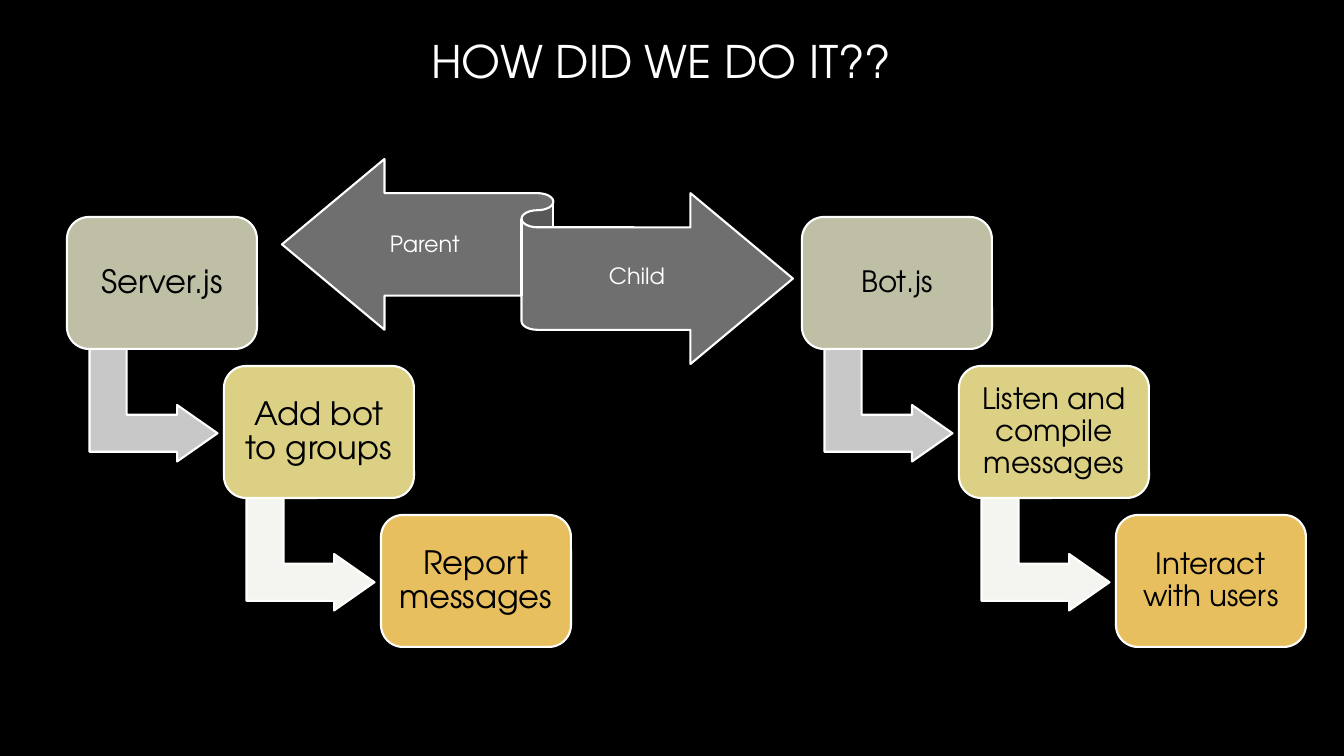
from pptx import Presentation
from pptx.dml.color import RGBColor
from pptx.enum.shapes import MSO_SHAPE
from pptx.enum.text import MSO_ANCHOR, PP_ALIGN
from pptx.util import Emu, Pt

FONT = "TeX Gyre Adventor"
EMU_PER_PX = 12192000 / 1344
COLORS = {
    "background": "000000",
    "light": "FFFFFF",
    "dark": "000000",
    "ribbon": "6F6F6F",
    "boxes": ["BFBFA5", "DCD084", "E7BF5F"],
    "arrows": ["C8C8C8", "F4F5F0"],
}
BOX_WIDTH, BOX_HEIGHT = 190, 132
STEP_X, STEP_Y = 157, 149
STAIRS_TOP = 217


def px(length):
    return Emu(round(length * EMU_PER_PX))


def color(value):
    return RGBColor.from_string(value)


def write(shape, text, size, text_color, inset=(0, 0), spacing=0.9):
    frame = shape.text_frame
    frame.word_wrap = True
    frame.vertical_anchor = MSO_ANCHOR.MIDDLE
    frame.margin_left = frame.margin_right = px(inset[0])
    frame.margin_top = frame.margin_bottom = px(inset[1])
    para = frame.paragraphs[0]
    para.text = text
    para.alignment = PP_ALIGN.CENTER
    para.line_spacing = spacing
    span = para.runs[0]
    span.font.name = FONT
    span.font.size = Pt(size)
    span.font.color.rgb = color(text_color)


def add_label(shapes, bounds, text, size, inset=(0, 6), spacing=0.9):
    box = shapes.add_textbox(*map(px, bounds))
    write(box, text, size, COLORS["light"], inset, spacing)


def add_outlined(shapes, kind, bounds, fill, adjustments=()):
    shape = shapes.add_shape(kind, *map(px, bounds))
    shape.shadow.inherit = False
    shape.fill.solid()
    shape.fill.fore_color.rgb = color(fill)
    shape.line.color.rgb = color(COLORS["light"])
    shape.line.width = Pt(1.5)
    for index, value in enumerate(adjustments):
        shape.adjustments[index] = value
    return shape


def add_staircase(page, left, steps, size):
    shapes = page.shapes.add_group_shape().shapes
    for index, text in enumerate(steps):
        x = left + index * STEP_X
        y = STAIRS_TOP + index * STEP_Y
        if index < len(steps) - 1:
            arrow = add_outlined(shapes, MSO_SHAPE.BENT_UP_ARROW,
                                 (x + 30, y + 124, 113, 128),
                                 COLORS["arrows"][index], (0.328, 0.25, 0.358))
            arrow.rotation = 90
        box = add_outlined(shapes, MSO_SHAPE.ROUNDED_RECTANGLE,
                           (x, y, BOX_WIDTH, BOX_HEIGHT),
                           COLORS["boxes"][index], (0.167,))
        write(box, text, size, COLORS["dark"], (8, 8))


def add_ribbon(page):
    shapes = page.shapes.add_group_shape().shapes
    add_outlined(shapes, MSO_SHAPE.LEFT_RIGHT_RIBBON, (282, 159, 511, 205), COLORS["ribbon"])
    add_label(shapes, (344, 225, 168, 41), "Parent ", 16)
    add_label(shapes, (537, 258, 200, 39), "Child", 16)


def main():
    deck = Presentation()
    deck.slide_width, deck.slide_height = px(1344), px(756)
    page = deck.slides.add_slide(deck.slide_layouts[6])
    page.background.fill.solid()
    page.background.fill.fore_color.rgb = color(COLORS["background"])
    add_label(page.shapes, (183, 28, 957, 65), "HOW DID WE DO IT??", 32, (10, 5), 1.0)
    add_staircase(page, 67, ["Server.js", "Add bot to groups", "Report messages"], 23)
    add_staircase(page, 802, ["Bot.js", "Listen and compile messages", "Interact with users"], 21)
    add_ribbon(page)
    deck.save("out.pptx")


if __name__ == "__main__":
    main()
